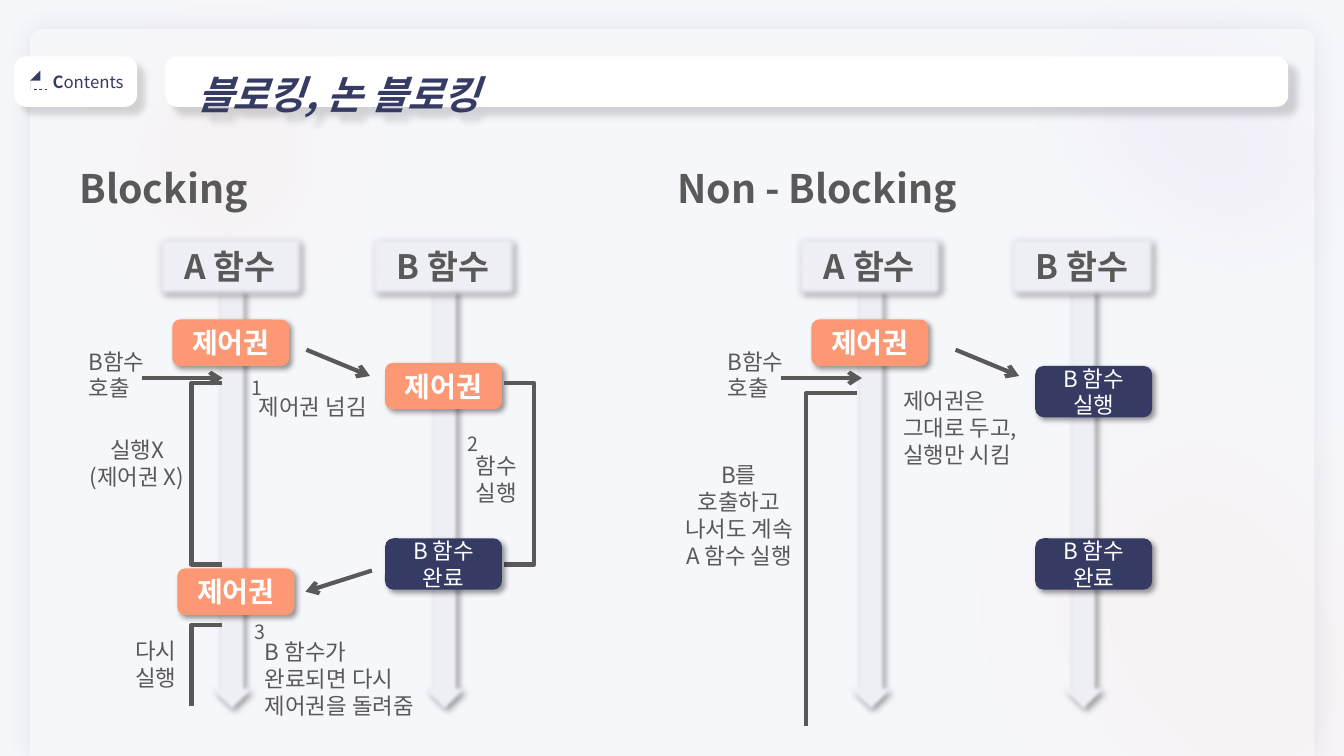
from lxml import etree
from pptx import Presentation
from pptx.dml.color import RGBColor
from pptx.enum.shapes import MSO_CONNECTOR, MSO_SHAPE
from pptx.enum.text import MSO_ANCHOR, PP_ALIGN
from pptx.oxml.ns import qn
from pptx.util import Inches, Pt

CELL = Inches(0.1)
COLUMNS, ROWS = 133.33, 75
RIGHT_PANEL = 63.4
FONT = "Noto Sans CJK KR"
COLORS = {"back": "F6F7FB", "navy": "363B64", "orange": "FC9974", "peach": "FD9374",
          "violet": "7030A0", "white": "FFFFFF", "gray": "595959", "pale": "F0F0F7",
          "black": "000000"}

STRAIGHT = MSO_CONNECTOR.STRAIGHT
RECT, ROUND = MSO_SHAPE.RECTANGLE, MSO_SHAPE.ROUNDED_RECTANGLE
OVAL, DOWN, CARD = MSO_SHAPE.OVAL, MSO_SHAPE.DOWN_ARROW, MSO_SHAPE.ROUND_2_SAME_RECTANGLE
MIDDLE, TOP = MSO_ANCHOR.MIDDLE, MSO_ANCHOR.TOP
LEFT, CENTER, RIGHT = PP_ALIGN.LEFT, PP_ALIGN.CENTER, PP_ALIGN.RIGHT

NOTE = {"size": Pt(16), "bold": False, "name": FONT}
STEP = {**NOTE, "size": Pt(14)}
CONTROL = {**NOTE, "size": Pt(20), "bold": True}
HEADER = {**CONTROL, "size": Pt(24)}
HEADING = {**CONTROL, "size": Pt(28)}
TITLE = {**HEADING, "italic": True}
TAB = {**NOTE, "size": Pt(12)}
TAB_INITIAL = {**TAB, "bold": True}

BOX_SHADOW = ("black", 40, 4, 3)
BAR_SHADOW = ("black", 15, 5, 8)
CARD_SHADOW = ("navy", 10, 18, 0)


def cells(*values):
    """Turn grid counts into slide lengths."""
    return [round(value * CELL) for value in values]


def color(name):
    """Look up a named colour."""
    return RGBColor.from_string(COLORS[name])


def add_node(parent, tag, **attributes):
    """Append a drawing element with its attributes."""
    return etree.SubElement(parent, qn(tag), {key: str(value) for key, value in attributes.items()})


def write(box, paras, style, ink, align=LEFT, anchor=TOP, spacing=None, indent=1):
    """Fill a box with paragraphs, each a string or a list of styled spans."""
    frame = box.text_frame
    settings = {"word_wrap": True, "vertical_anchor": anchor, "margin_left": cells(indent)[0]}
    for key, value in settings.items():
        setattr(frame, key, value)
    for index, content in enumerate(paras):
        para = frame.add_paragraph() if index else frame.paragraphs[0]
        para.alignment = align
        para.line_spacing = spacing
        spans = [(content, style)] if isinstance(content, str) else content
        for text, span_style in spans:
            span = para.add_run()
            span.text = text
            for key, value in span_style.items():
                setattr(span.font, key, value)
            span.font.color.rgb = color(ink)
            add_node(span.font._element, "a:ea", typeface=FONT)


def add_label(page, place, paras, style=NOTE, **layout):
    """Add a gray text box."""
    box = page.shapes.add_textbox(*cells(*place))
    write(box, paras, style, "gray", **layout)


def paint(box, fill, alpha=None, shadow=None, soft=None):
    """Give a shape its fill, transparency, shadow and soft edge."""
    box.fill.solid()
    box.fill.fore_color.rgb = color(fill)
    box.line.fill.background()
    box.shadow.inherit = False
    properties = box._element.spPr
    effects = properties.find(qn("a:effectLst"))
    if alpha:
        add_node(properties.find(qn("a:solidFill"))[0], "a:alpha", val=alpha * 1000)
    if shadow:
        tint, opacity, blur, distance = shadow
        outer = add_node(effects, "a:outerShdw", blurRad=Pt(blur), dist=Pt(distance),
                         dir=45 * 60000, algn="tl", rotWithShape=0)
        shade = add_node(outer, "a:srgbClr", val=COLORS[tint])
        add_node(shade, "a:alpha", val=opacity * 1000)
    if soft:
        add_node(effects, "a:softEdge", rad=Pt(soft))


def add_box(page, kind, place, fill, rounding=None, turn=0, **effects):
    """Add a painted preset shape."""
    box = page.shapes.add_shape(kind, *cells(*place))
    box.rotation = turn
    if rounding is not None:
        box.adjustments[0] = rounding
    paint(box, fill, **effects)
    return box


def add_line(page, start, end, ink="gray", width=3, arrow=True):
    """Add a straight line, with an arrowhead if wanted."""
    line = page.shapes.add_connector(STRAIGHT, *cells(*start, *end))
    line.line.color.rgb = color(ink)
    line.line.width = Pt(width)
    properties = line._element.spPr
    if arrow:
        add_node(properties.find(qn("a:ln")), "a:tailEnd", type="arrow")
    add_node(properties, "a:effectLst")


def add_outline(page, points, closed):
    """Build a freeform through grid points."""
    builder = page.shapes.build_freeform(*points[0], scale=CELL)
    builder.add_line_segments(points[1:], close=closed)
    return builder.convert_to_shape()


def add_bracket(page, *points):
    """Add an open angular bracket."""
    bracket = add_outline(page, points, False)
    bracket.fill.background()
    bracket.shadow.inherit = False
    bracket.line.color.rgb = color("gray")
    bracket.line.width = Pt(3)


def add_control(page, left, top):
    """Add an orange box that holds control."""
    box = add_box(page, ROUND, (left, top, 11.6, 4.6), "orange", shadow=BOX_SHADOW)
    write(box, ["제어권"], CONTROL, "white", align=CENTER, anchor=MIDDLE)


def add_state(page, left, top, text):
    """Add a navy box with the state of function B."""
    box = add_box(page, ROUND, (left, top, 11.6, 5.1), "navy", shadow=BOX_SHADOW)
    write(box, [text], NOTE, "white", align=CENTER, anchor=MIDDLE)


def add_lanes(page, offset):
    """Add both function lanes, the first control box and the call."""
    for index, name in enumerate(("A 함수", "B 함수")):
        left = offset + 15.1 + index * 21.1
        add_box(page, DOWN, (left + 5, 28.2, 5.7, 42.6), "pale", shadow=BOX_SHADOW, soft=2.5)
        header = add_box(page, RECT, (left, 22.9, 15.5, 7), "pale", shadow=BOX_SHADOW, soft=5)
        write(header, [name], HEADER, "gray", align=CENTER, anchor=MIDDLE)
    add_control(page, offset + 17.1, 31.7)
    add_line(page, (offset + 14.1, 37.5), (offset + 22.1, 37.5))
    add_label(page, (offset + 7.8, 34, 7.9, 6.4), ["B함수 호출"])


def add_frame(page):
    """Add the backdrop, the contents tab and the title bar."""
    add_box(page, CARD, (3, 2.9, 127.4, 72.1), "back", rounding=0.016, shadow=CARD_SHADOW)
    add_box(page, OVAL, (0, -9, 45, 49.1), "peach", alpha=7, soft=80)
    add_box(page, OVAL, (97, -14.3, 45, 56.3), "violet", turn=291.5, alpha=4, soft=80)
    add_box(page, OVAL, (90.1, 26.9, 62.6, 72.7), "orange", turn=339.8, alpha=4, soft=80)
    tab = add_box(page, ROUND, (1.4, 5.6, 12.2, 5), "white", rounding=0.237, shadow=BAR_SHADOW)
    write(tab, [[("C", TAB_INITIAL), ("ontents", TAB)]], TAB, "navy", align=RIGHT, anchor=MIDDLE)
    pencil = add_outline(page, [(2.8, 8.8), (2.9, 8.1), (3.9, 7.1), (4.1, 7), (4.3, 7.1),
                                (4.4, 7.3), (4.3, 7.6), (3.4, 8.5), (3.1, 8.8)], True)
    paint(pencil, "navy")
    for left, right in ((3.4, 3.7), (3.9, 4.2), (4.5, 4.7)):
        add_line(page, (left, 8.8), (right, 8.8), "navy", 0.25, arrow=False)
    bar = add_box(page, ROUND, (16.4, 5.6, 111.4, 5), "white", rounding=0.237, shadow=BAR_SHADOW)
    write(bar, ["블로킹, 논 블로킹"], TITLE, "navy", anchor=MIDDLE, spacing=1.5, indent=2.8)


def add_blocking(page):
    """Add the blocking sequence on the left."""
    add_label(page, (6.9, 13.5, 37.8, 7.2), ["Blocking"], HEADING, spacing=1.5)
    add_lanes(page, 0)
    add_label(page, (7.8, 42.8, 11.6, 6.4), ["실행X", "(제어권 X)"], align=CENTER)
    add_bracket(page, (21.8, 38.3), (19.3, 38.3), (19.3, 56), (22.1, 56))
    add_control(page, 38.2, 36)
    add_line(page, (30.4, 34.7), (36.7, 37.3))
    add_label(page, (24.7, 38.5, 14.3, 3.7), ["제어권 넘김"])
    add_bracket(page, (49.5, 38.4), (53, 38.4), (53, 56.1), (49.8, 56.1))
    add_label(page, (46.2, 44.4, 6.8, 6.4), ["함수 실행"])
    add_label(page, (12.2, 62.7, 6.5, 6.4), ["다시", "실행"], align=CENTER)
    add_bracket(page, (21.9, 62.3), (19.2, 62.3), (19.2, 70))
    add_control(page, 17.6, 56.4)
    add_state(page, 38.2, 53.4, "B 함수 완료")
    add_line(page, (36.9, 56.6), (30.3, 58.7))
    add_label(page, (25.3, 62.8, 18.7, 9.1), ["B 함수가", "완료되면 다시 제어권을 돌려줌"])
    for number, left, top in (("1", 24, 36.8), ("2", 45.4, 42.4), ("3", 24.3, 61)):
        add_label(page, (left, top, 3.4, 3.4), [number], STEP)


def add_non_blocking(page):
    """Add the non-blocking sequence on the right."""
    add_label(page, (66.2, 13.5, 44.4, 7.2), ["Non - Blocking"], HEADING, spacing=1.5)
    add_lanes(page, RIGHT_PANEL)
    add_bracket(page, (85.4, 39), (79.9, 39), (79.9, 71.9))
    add_label(page, (66.2, 45.3, 14.2, 11.8), ["B를", "호출하고", "나서도 계속 A 함수 실행"],
              align=CENTER)
    add_line(page, (94.8, 34.7), (101.1, 37.3))
    add_state(page, 102.7, 36.3, "B 함수 실행")
    add_state(page, 102.7, 53.4, "B 함수 완료")
    add_label(page, (88.6, 37.9, 14.2, 9.1), ["제어권은", "그대로 두고, 실행만 시킴"])


def main():
    """Build the slide and save the deck."""
    deck = Presentation()
    deck.slide_width, deck.slide_height = cells(COLUMNS, ROWS)
    page = deck.slides.add_slide(deck.slide_layouts[6])
    page.background.fill.solid()
    page.background.fill.fore_color.rgb = color("back")
    add_frame(page)
    add_blocking(page)
    add_non_blocking(page)
    deck.save("out.pptx")


if __name__ == "__main__":
    main()
